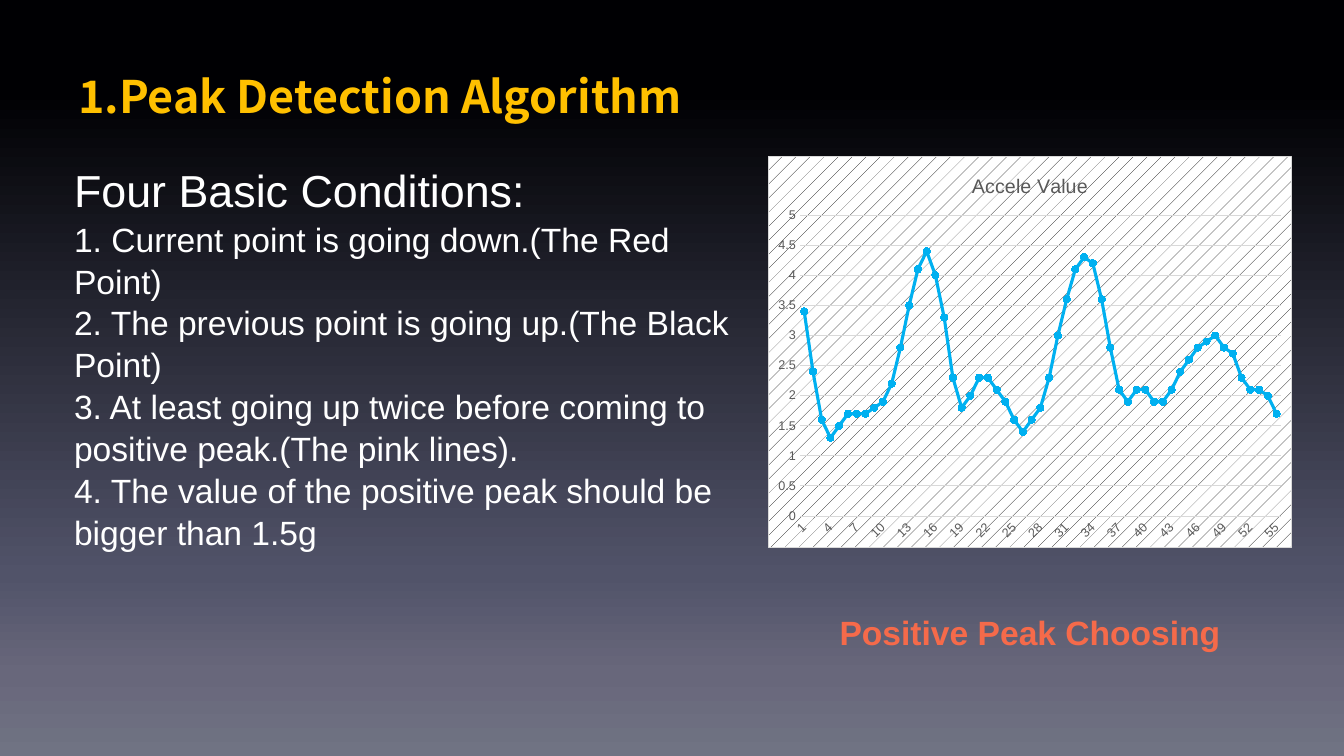
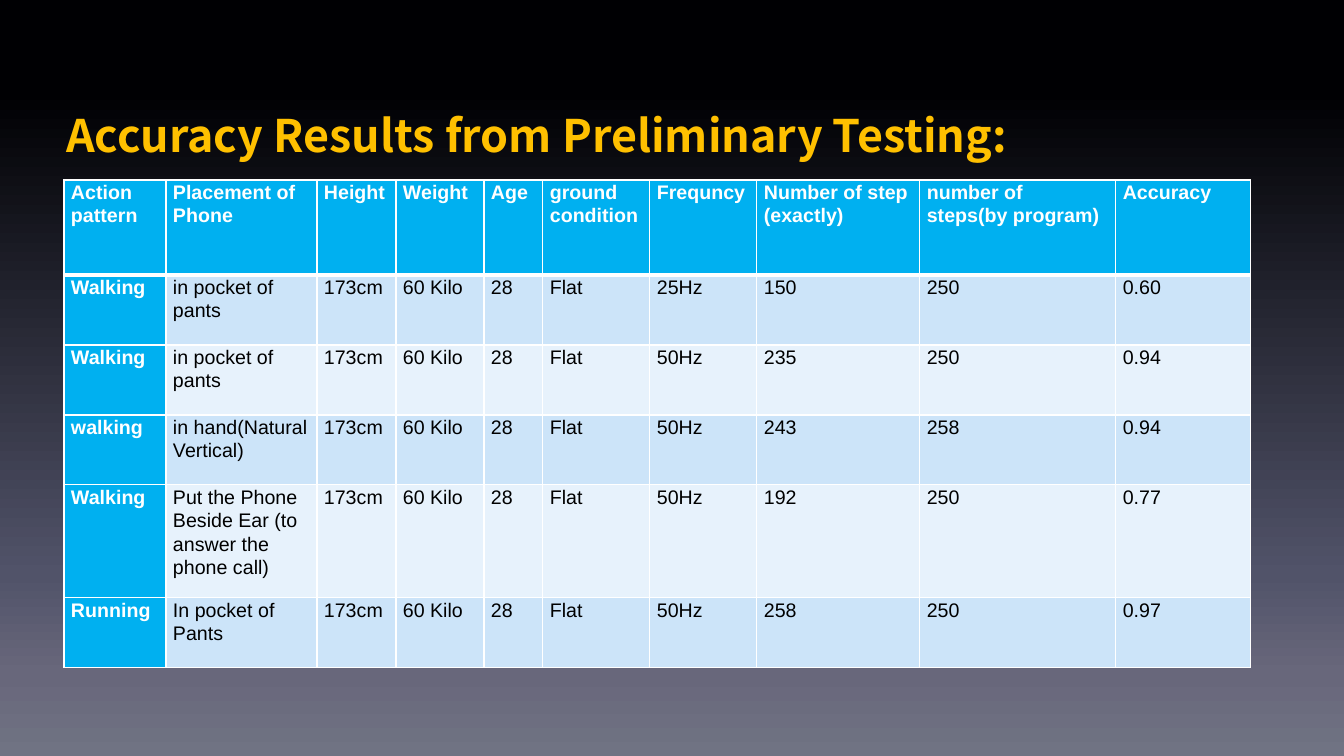
from dataclasses import dataclass

from lxml import etree
from pptx import Presentation
from pptx.chart.data import CategoryChartData
from pptx.dml.color import RGBColor
from pptx.enum.chart import XL_CHART_TYPE, XL_MARKER_STYLE, XL_TICK_MARK
from pptx.enum.text import MSO_ANCHOR, MSO_AUTO_SIZE, PP_ALIGN
from pptx.oxml import parse_xml
from pptx.oxml.ns import nsdecls, qn
from pptx.util import Emu, Pt

LINE_MARKERS = XL_CHART_TYPE.LINE_MARKERS
CIRCLE = XL_MARKER_STYLE.CIRCLE
NO_TICK = XL_TICK_MARK.NONE
TOP, MIDDLE = MSO_ANCHOR.TOP, MSO_ANCHOR.MIDDLE
GROW = MSO_AUTO_SIZE.SHAPE_TO_FIT_TEXT
NO_FIT = MSO_AUTO_SIZE.NONE
LEFT, CENTER = PP_ALIGN.LEFT, PP_ALIGN.CENTER

EMU_PER_PX = 914400 / 100.8
TITLE_AND_BODY, TITLE_ONLY = 1, 5


@dataclass(frozen=True)
class Theme:
    # Colours
    backdrop: tuple = ((12, "000003"), (76, "515369"), (89, "68677B"), (100, "707383"))
    gold: str = "FFC000"
    white: str = "FFFFFF"
    black: str = "000000"
    coral: str = "F56A4A"
    blue: str = "00B0F0"
    purple: str = "8E5FD3"
    yellow: str = "FFFF00"
    band_dark: str = "CCE4F9"
    band_light: str = "E7F2FC"
    axis_text: str = "595959"
    grid: str = "D9D9D9"
    # Fonts and type sizes
    title_font: str = "Noto Sans CJK SC"
    text_font: str = "Arial"
    heading_size: int = 32
    body_size: int = 24
    chart_title_size: int = 14
    table_size: int = 14
    chart_size: int = 10
    axis_size: int = 9


def px(length):
    return Emu(round(length * EMU_PER_PX))


def rgb(color):
    return RGBColor.from_string(color)


def style_font(font, name, size, color, bold=False):
    font.name, font.size, font.bold = name, Pt(size), bold
    font.color.rgb = rgb(color)


class Deck:
    def __init__(self, theme):
        self.theme = theme
        self.slide = None
        self.prs = Presentation()
        self.prs.slide_width, self.prs.slide_height = px(1344), px(756)
        self.paint_background()

    def paint_background(self):
        master = self.prs.slide_master
        fill = master.background.fill
        fill.gradient()
        fill.gradient_angle = 270
        stops = master.element.find(".//" + qn("p:bgPr")).find(".//" + qn("a:gsLst"))
        for stop in list(stops):
            stops.remove(stop)
        for percent, color in self.theme.backdrop:
            stop = etree.SubElement(stops, qn("a:gs"), pos=str(percent * 1000))
            etree.SubElement(stop, qn("a:srgbClr"), val=color)

    def new_slide(self, layout):
        self.slide = self.prs.slides.add_slide(self.prs.slide_layouts[layout])

    @staticmethod
    def place(shape, box):
        shape.left, shape.top, shape.width, shape.height = map(px, box)

    def title(self, text, box):
        title = self.slide.shapes.title
        self.place(title, box)
        frame = title.text_frame
        frame.text = text
        frame.word_wrap, frame.auto_size = False, GROW
        frame.vertical_anchor = TOP
        line = frame.paragraphs[0]
        line.alignment, line.line_spacing = LEFT, 1.3
        style_font(line.font, self.theme.title_font, self.theme.heading_size,
                   self.theme.gold, bold=True)

    def body(self, heading, items, box):
        body = self.slide.placeholders[1]
        self.place(body, box)
        frame = body.text_frame
        frame.text = "\n".join([heading, *items])
        frame.word_wrap, frame.auto_size = True, GROW
        frame.vertical_anchor = TOP
        for index, line in enumerate(frame.paragraphs):
            size = self.theme.body_size if index else self.theme.heading_size
            style_font(line.font, self.theme.text_font, size, self.theme.white)
            line.space_before, line.line_spacing = Pt(0), 1.04
            # Plain lines: no bullet and no hanging indent
            properties = line._p.get_or_add_pPr()
            properties.set("marL", "0")
            properties.set("indent", "0")
            properties.insert_element_before(
                parse_xml(f"<a:buNone {nsdecls('a')}/>"), "a:tabLst", "a:defRPr", "a:extLst")

    def caption(self, text, box):
        frame = self.slide.shapes.add_textbox(*map(px, box)).text_frame
        frame.text = text
        frame.word_wrap, frame.auto_size = True, NO_FIT
        frame.vertical_anchor = MIDDLE
        line = frame.paragraphs[0]
        line.alignment, line.line_spacing = CENTER, 0.9
        style_font(line.font, self.theme.text_font, self.theme.body_size,
                   self.theme.coral, bold=True)

    def line_chart(self, name, values, point_colors, box):
        theme = self.theme
        data = CategoryChartData()
        data.categories = [str(n) for n in range(1, len(values) + 1)]
        data.add_series(name, values)
        chart = self.slide.shapes.add_chart(LINE_MARKERS, *map(px, box), data).chart
        style_font(chart.font, theme.text_font, theme.chart_size, theme.black)
        chart.has_legend = False

        # Heading
        chart.has_title = True
        heading = chart.chart_title.text_frame
        heading.text = name
        style_font(heading.paragraphs[0].font, theme.text_font,
                   theme.chart_title_size, theme.axis_text)

        # Axes
        steps, scale = chart.category_axis, chart.value_axis
        for axis in (steps, scale):
            axis.major_tick_mark = axis.minor_tick_mark = NO_TICK
            style_font(axis.tick_labels.font, theme.text_font, theme.axis_size, theme.axis_text)
        scale.minimum_scale, scale.maximum_scale, scale.major_unit = 0, 5, 0.5
        scale.format.line.fill.background()
        for line in (steps.format.line, scale.major_gridlines.format.line):
            line.color.rgb, line.width = rgb(theme.grid), Pt(0.75)
        steps_xml = chart._chartSpace.find(".//" + qn("c:catAx"))
        steps_xml.find(qn("c:txPr")).find(qn("a:bodyPr")).set("rot", "-2700000")
        steps_xml.find(qn("c:noMultiLvlLbl")).addprevious(
            parse_xml(f'<c:tickLblSkip {nsdecls("c")} val="3"/>'))

        # Curve and its highlighted points
        plot = chart.plots[0]
        plot.vary_by_categories = False
        curve = plot.series[0]
        curve.smooth = False
        self.line_point(curve, theme.blue)
        for color, numbers in point_colors.items():
            for number in numbers:
                self.line_point(curve.points[number - 1], color)
        self.chart_ground(chart)

    def line_point(self, part, marker_color):
        part.format.line.color.rgb = rgb(self.theme.blue)
        part.format.line.width = Pt(2.25)
        marker = part.marker
        marker.style, marker.size = CIRCLE, 5
        marker.format.fill.solid()
        marker.format.fill.fore_color.rgb = rgb(marker_color)
        marker.format.line.color.rgb = rgb(marker_color)

    def chart_ground(self, chart):
        theme = self.theme
        # Hatched chart area
        chart._chartSpace.find(qn("c:chart")).addnext(parse_xml(
            f'<c:spPr {nsdecls("c", "a")}><a:pattFill prst="pct5">'
            f'<a:fgClr><a:srgbClr val="{theme.black}"/></a:fgClr>'
            f'<a:bgClr><a:srgbClr val="{theme.white}"/></a:bgClr></a:pattFill>'
            f'<a:ln w="9525"><a:solidFill><a:srgbClr val="{theme.grid}"/></a:solidFill></a:ln>'
            f'</c:spPr>'))
        # Clear plot area with a fixed inner frame
        plot_area = chart._chartSpace.find(".//" + qn("c:plotArea"))
        for layout in plot_area.findall(qn("c:layout")):
            plot_area.remove(layout)
        frame = "".join(f'<c:{key} val="{share}"/>' for key, share in
                        (("x", 0.06), ("y", 0.15), ("w", 0.92), ("h", 0.77)))
        plot_area.insert(0, parse_xml(
            f'<c:layout {nsdecls("c")}><c:manualLayout><c:layoutTarget val="inner"/>'
            f'<c:xMode val="edge"/><c:yMode val="edge"/>{frame}</c:manualLayout></c:layout>'))
        plot_area.append(parse_xml(
            f'<c:spPr {nsdecls("c", "a")}><a:noFill/></c:spPr>'))

    def table(self, rows, widths, heights, left, top):
        theme = self.theme
        table = self.slide.shapes.add_table(
            len(rows), len(widths), px(left), px(top),
            px(sum(widths)), px(sum(heights))).table
        table.first_col = True
        for column, width in zip(table.columns, widths):
            column.width = px(width)
        for row, height in zip(table.rows, heights):
            row.height = px(height)
        for r, texts in enumerate(rows):
            for c, text in enumerate(texts):
                is_header = r == 0 or c == 0
                band = theme.band_dark if r % 2 else theme.band_light
                self.cell(table.cell(r, c), text, is_header,
                          theme.blue if is_header else band, 3 if r == 0 else 1)

    def cell(self, cell, text, is_header, fill, bottom_width):
        theme = self.theme
        cell.text = text
        cell.margin_left = cell.margin_right = px(7)
        cell.margin_top = cell.margin_bottom = 0
        line = cell.text_frame.paragraphs[0]
        line.line_spacing = 1.07
        style_font(line.font, theme.text_font, theme.table_size,
                   theme.white if is_header else theme.black, bold=is_header)
        cell.fill.solid()
        cell.fill.fore_color.rgb = rgb(fill)
        borders = (("lnL", 1), ("lnR", 1), ("lnT", 1), ("lnB", bottom_width))
        for index, (side, width) in enumerate(borders):
            cell._tc.get_or_add_tcPr().insert(index, parse_xml(
                f'<a:{side} {nsdecls("a")} w="{Pt(width)}"><a:solidFill>'
                f'<a:srgbClr val="{theme.white}"/></a:solidFill></a:{side}>'))


CONDITIONS = [
    "1. Current point is going down.(The Red Point)",
    "2. The previous point is going up.(The Black Point)",
    "3. At least going up twice before coming to positive peak.(The pink lines).",
    "4. The value of the positive peak should be bigger than 1.5g",
]
ACCELERATION = [
    3.4, 2.4, 1.6, 1.3, 1.5, 1.7, 1.7, 1.7, 1.8, 1.9, 2.2, 2.8, 3.5, 4.1, 4.4, 4, 3.3, 2.3,
    1.8, 2, 2.3, 2.3, 2.1, 1.9, 1.6, 1.4, 1.6, 1.8, 2.3, 3, 3.6, 4.1, 4.3, 4.2, 3.6, 2.8,
    2.1, 1.9, 2.1, 2.1, 1.9, 1.9, 2.1, 2.4, 2.6, 2.8, 2.9, 3, 2.8, 2.7, 2.3, 2.1, 2.1, 2, 1.7,
]
TEST_HEADER = ["Action pattern", "Placement of Phone", "Height", "Weight", "Age",
               "ground condition", "Frequncy", "Number of step (exactly)",
               "number of steps(by program)", "Accuracy"]
TEST_PERSON = ["173cm", "60 Kilo", "28", "Flat"]
TEST_RUNS = [
    ("Walking", "in pocket of pants", "25Hz", "150", "250", "0.60"),
    ("Walking", "in pocket of pants", "50Hz", "235", "250", "0.94"),
    ("walking", "in hand(Natural Vertical)", "50Hz", "243", "258", "0.94"),
    ("Walking", "Put the Phone Beside Ear (to answer the phone call)",
     "50Hz", "192", "250", "0.77"),
    ("Running", "In pocket of Pants", "50Hz", "258", "250", "0.97"),
]


def main():
    theme = Theme()
    deck = Deck(theme)

    # Peak detection
    deck.new_slide(TITLE_AND_BODY)
    deck.caption("Positive Peak Choosing", (811, 600, 438, 69))
    deck.title("1.Peak Detection Algorithm", (68, 48, 650, 74))
    deck.body("Four Basic Conditions:", CONDITIONS, (64, 156, 692, 390))
    peaks = {theme.coral: (14, 15, 32, 33, 47, 48),
             theme.purple: (16, 34, 49),
             theme.yellow: (19, 26, 38)}
    deck.line_chart("Accele Value", ACCELERATION, peaks, (768, 156, 524, 392))

    # Test results
    deck.new_slide(TITLE_ONLY)
    deck.title("Accuracy Results from Preliminary Testing:", (56, 87, 992, 74))
    results = [[action, placement, *TEST_PERSON, *measures]
               for action, placement, *measures in TEST_RUNS]
    deck.table([TEST_HEADER, *results],
               widths=[102, 151, 79, 88, 59, 107, 107, 163, 196, 135],
               heights=[95, 70, 70, 70, 113, 70], left=64, top=180)

    deck.prs.save("out.pptx")


if __name__ == "__main__":
    main()
